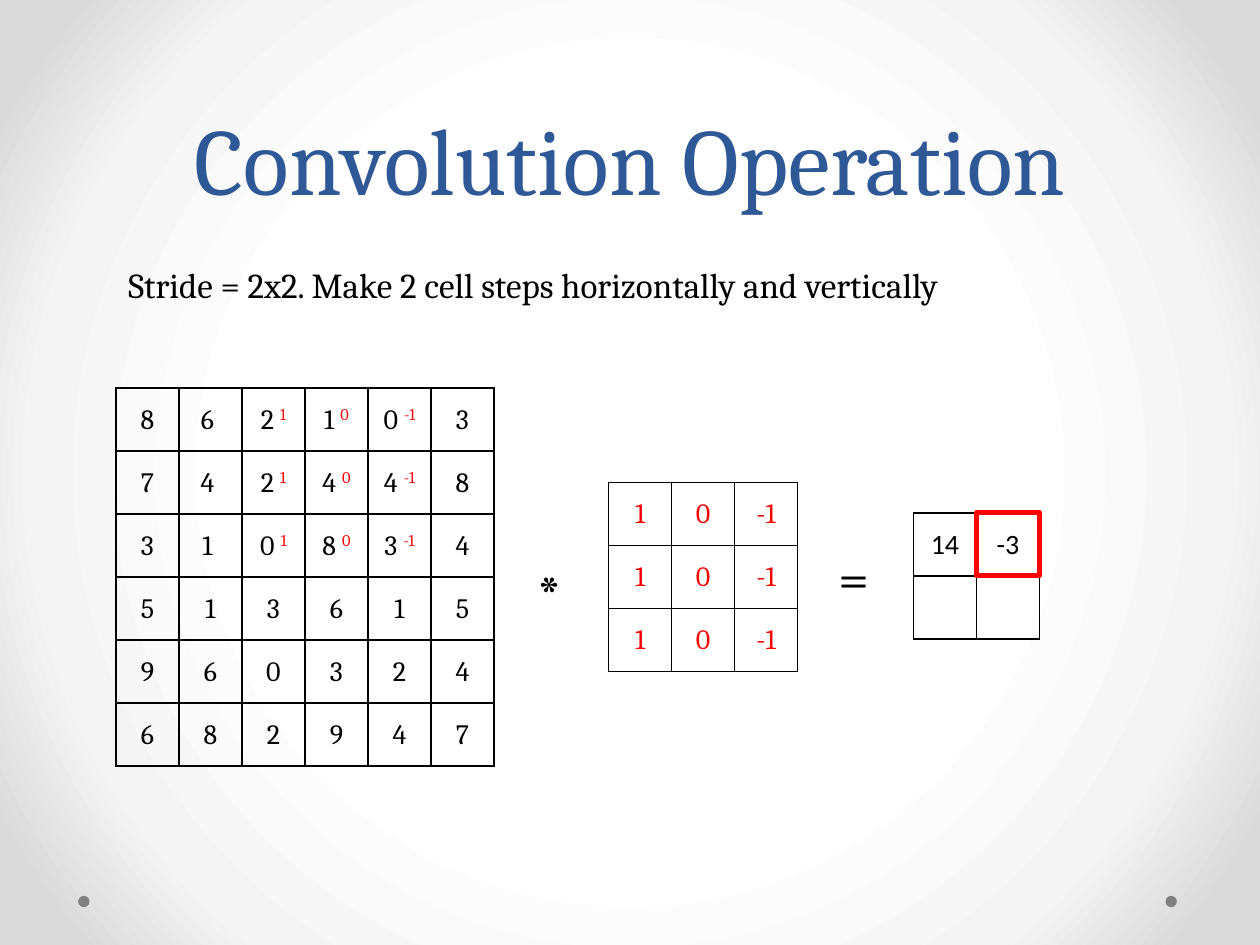
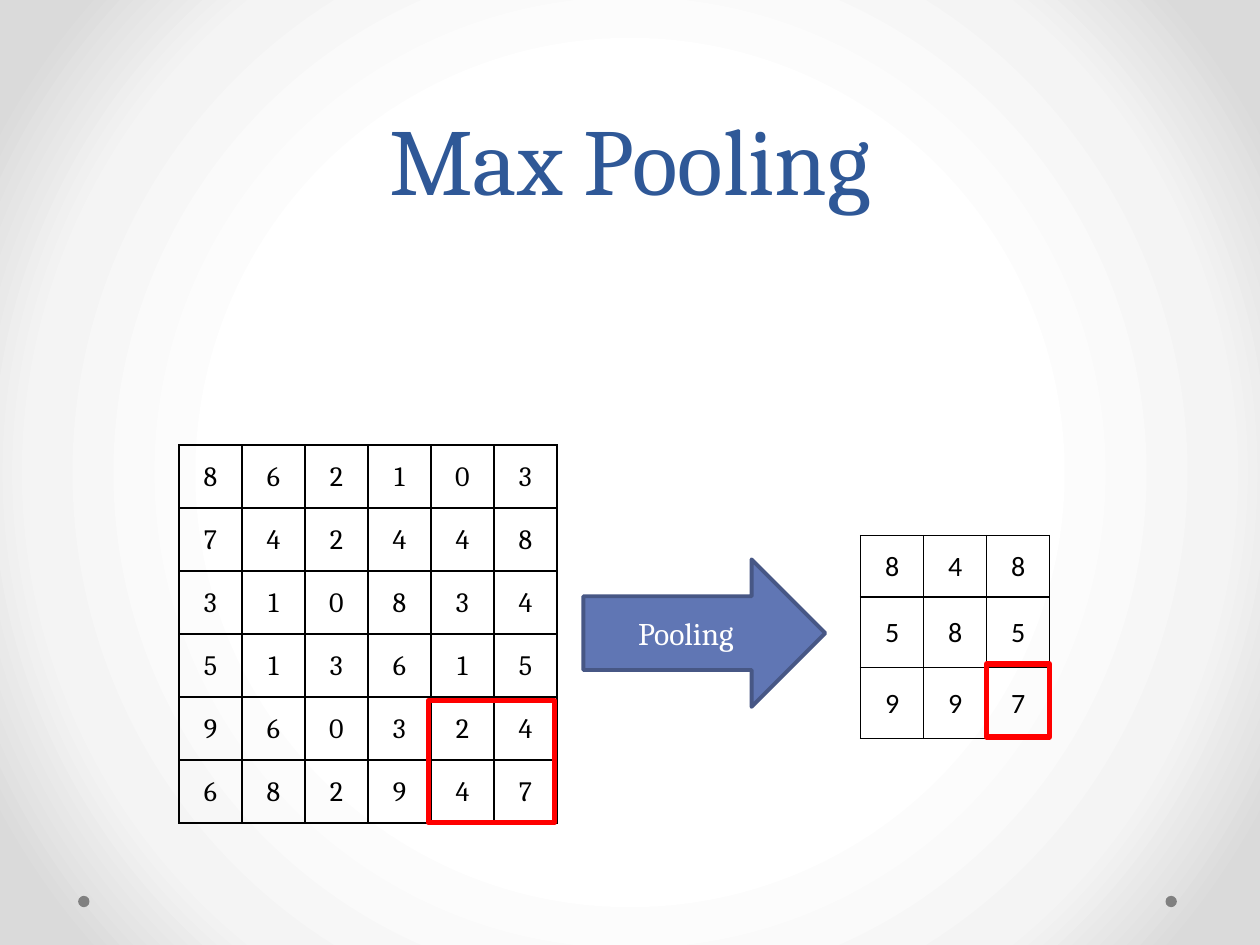
from dataclasses import dataclass

from lxml import etree
from pptx import Presentation
from pptx.dml.color import RGBColor
from pptx.enum import shapes, text
from pptx.oxml import parse_xml
from pptx.oxml.ns import nsdecls, qn
from pptx.util import Inches, Pt


@dataclass(frozen=True)
class Theme:
    serif: str = "Cambria"
    sans: str = "Calibri"
    title: str = "2F5897"
    ink: str = "000000"
    accent: str = "FF0000"
    dot: str = "808080"
    arrow: str = "6076B4"
    arrow_edge: str = "475785"
    arrow_label: str = "FFFFFF"
    backdrop: tuple = ((50, "FFFFFF"), (76, "F4F4F4"), (92, "DADADA"))
    title_size: int = 54
    title_leading: int = 58
    operator_size: int = 32
    note_size: int = 20
    label_size: int = 18
    cell_size: int = 16
    grid_line: float = 1
    arrow_line: float = 2.25
    highlight_line: float = 3


THEME = Theme()
CELL = 0.5

IMAGE = [
    [8, 6, 2, 1, 0, 3],
    [7, 4, 2, 4, 4, 8],
    [3, 1, 0, 8, 3, 4],
    [5, 1, 3, 6, 1, 5],
    [9, 6, 0, 3, 2, 4],
    [6, 8, 2, 9, 4, 7],
]
KERNEL = [[1, 0, -1]] * 3
CONVOLVED = [[14, -3], ["", ""]]
POOLED = [[8, 4, 8], [5, 8, 5], [9, 9, 7]]


def rgb(color):
    return RGBColor.from_string(color)


def inches(*lengths):
    return [Inches(length) for length in lengths]


def style(paragraph, size, color, face=THEME.serif, align=None):
    paragraph.font.size = Pt(size)
    paragraph.font.name = face
    paragraph.font.color.rgb = rgb(color)
    paragraph.alignment = align


def paint_backdrop(master):
    master.background.fill.solid()
    solid = master.element.find(".//" + qn("p:bgPr")).find(qn("a:solidFill"))
    stops = "".join(
        f'<a:gs pos="{pos * 1000}"><a:srgbClr val="{color}"/></a:gs>'
        for pos, color in THEME.backdrop
    )
    gradient = parse_xml(
        f'<a:gradFill {nsdecls("a")} rotWithShape="1"><a:gsLst>{stops}</a:gsLst>'
        '<a:path path="circle"><a:fillToRect l="50000" t="50000" r="50000" b="50000"/>'
        "</a:path></a:gradFill>"
    )
    solid.getparent().replace(solid, gradient)


def add_preset(slide, preset, box, fill=None, line=None, width=0):
    shape = slide.shapes.add_shape(preset, *inches(*box))
    shape.shadow.inherit = False
    if fill:
        shape.fill.solid()
        shape.fill.fore_color.rgb = rgb(fill)
    else:
        shape.fill.background()
    if line:
        shape.line.color.rgb = rgb(line)
        shape.line.width = Pt(width)
    else:
        shape.line.fill.background()
    return shape


def add_highlight(slide, box):
    add_preset(slide, shapes.MSO_SHAPE.RECTANGLE, box,
               line=THEME.accent, width=THEME.highlight_line)


def add_text(slide, box, words, size):
    frame = slide.shapes.add_textbox(*inches(*box)).text_frame
    frame.word_wrap = True
    frame.text = words
    style(frame.paragraphs[0], size, THEME.ink)


def start_slide(deck, heading):
    slide = deck.slides.add_slide(deck.slide_layouts[5])
    for left in (9.25, 0.62):
        add_preset(slide, shapes.MSO_SHAPE.OVAL, (left, 7.11, 0.09, 0.09), THEME.dot)
    title = slide.shapes.title
    title.left, title.top, title.width, title.height = inches(0.5, 0, 9, 1.75)
    frame = title.text_frame
    frame.text = heading
    frame.auto_size = text.MSO_AUTO_SIZE.NONE
    frame.vertical_anchor = text.MSO_ANCHOR.BOTTOM
    style(frame.paragraphs[0], THEME.title_size, THEME.title, align=text.PP_ALIGN.CENTER)
    frame.paragraphs[0].line_spacing = Pt(THEME.title_leading)
    return slide


def outline_cell(cell):
    properties = cell._tc.get_or_add_tcPr()
    for side in ("lnL", "lnR", "lnT", "lnB"):
        edge = etree.SubElement(properties, qn(f"a:{side}"), w=str(Pt(THEME.grid_line)))
        fill = etree.SubElement(edge, qn("a:solidFill"))
        etree.SubElement(fill, qn("a:srgbClr"), val=THEME.ink)


def add_grid(slide, left, top, values, color=THEME.ink, face=THEME.serif, heights=None):
    heights = heights or [CELL] * len(values)
    box = inches(left, top, CELL * len(values[0]), sum(heights))
    grid = slide.shapes.add_table(len(values), len(values[0]), *box).table
    grid.first_row = grid.horz_banding = False
    for column in grid.columns:
        column.width = Inches(CELL)
    for r, (row, height) in enumerate(zip(values, heights)):
        grid.rows[r].height = Inches(height)
        for c, value in enumerate(row):
            cell = grid.cell(r, c)
            outline_cell(cell)
            cell.fill.background()
            cell.margin_left = cell.margin_right = cell.margin_top = Inches(0.01)
            cell.margin_bottom = 0
            cell.vertical_anchor = text.MSO_ANCHOR.MIDDLE
            cell.text = str(value)
            style(cell.text_frame.paragraphs[0], THEME.cell_size, color, face,
                  text.PP_ALIGN.CENTER)
    return grid


def add_kernel_weights(grid, first_column):
    for r, weights in enumerate(KERNEL):
        for c, weight in enumerate(weights, first_column):
            run = grid.cell(r, c).text_frame.paragraphs[0].add_run()
            run.text = str(weight)
            run.font.color.rgb = rgb(THEME.accent)
            run.font._element.set("baseline", "30000")


def build_convolution(deck):
    slide = start_slide(deck, "Convolution Operation")
    spaced = [
        [f"{value} " if r < 3 and 1 <= c <= 4 else value for c, value in enumerate(row)]
        for r, row in enumerate(IMAGE)
    ]
    add_kernel_weights(add_grid(slide, 0.92, 3.08, spaced), first_column=2)
    add_grid(slide, 4.83, 3.83, KERNEL, THEME.accent)
    left, top = 7.25, 4.07
    add_grid(slide, left, top, CONVOLVED, face=THEME.sans)
    add_text(slide, (4.17, 4.38, 0.42, 0.64), "*", THEME.operator_size)
    add_text(slide, (6.56, 4.26, 0.42, 0.64), "=", THEME.operator_size)
    add_text(slide, (0.92, 2.04, 8.58, 0.44),
             "Stride = 2x2. Make 2 cell steps horizontally and vertically", THEME.note_size)
    add_highlight(slide, (left + CELL, top, CELL, CELL))


def add_pooling_arrow(slide, box):
    arrow = add_preset(slide, shapes.MSO_SHAPE.RIGHT_ARROW, box,
                       THEME.arrow, THEME.arrow_edge, THEME.arrow_line)
    frame = arrow.text_frame
    frame.text = "Pooling"
    frame.vertical_anchor = text.MSO_ANCHOR.MIDDLE
    style(frame.paragraphs[0], THEME.label_size, THEME.arrow_label,
          align=text.PP_ALIGN.CENTER)


def build_pooling(deck):
    slide = start_slide(deck, "Max Pooling")
    add_grid(slide, 1.42, 3.53, IMAGE)
    add_grid(slide, 6.83, 4.25, POOLED, face=THEME.sans, heights=[0.49, 0.56, 0.56])
    add_pooling_arrow(slide, (4.63, 4.44, 1.92, 1.17))
    add_highlight(slide, (7.83, 5.27, 0.5, 0.58))
    add_highlight(slide, (3.4, 5.56, 1, 0.97))


def main():
    deck = Presentation()
    deck.slide_width, deck.slide_height = inches(10, 7.5)
    paint_backdrop(deck.slide_master)
    build_convolution(deck)
    build_pooling(deck)
    deck.save("out.pptx")


if __name__ == "__main__":
    main()
